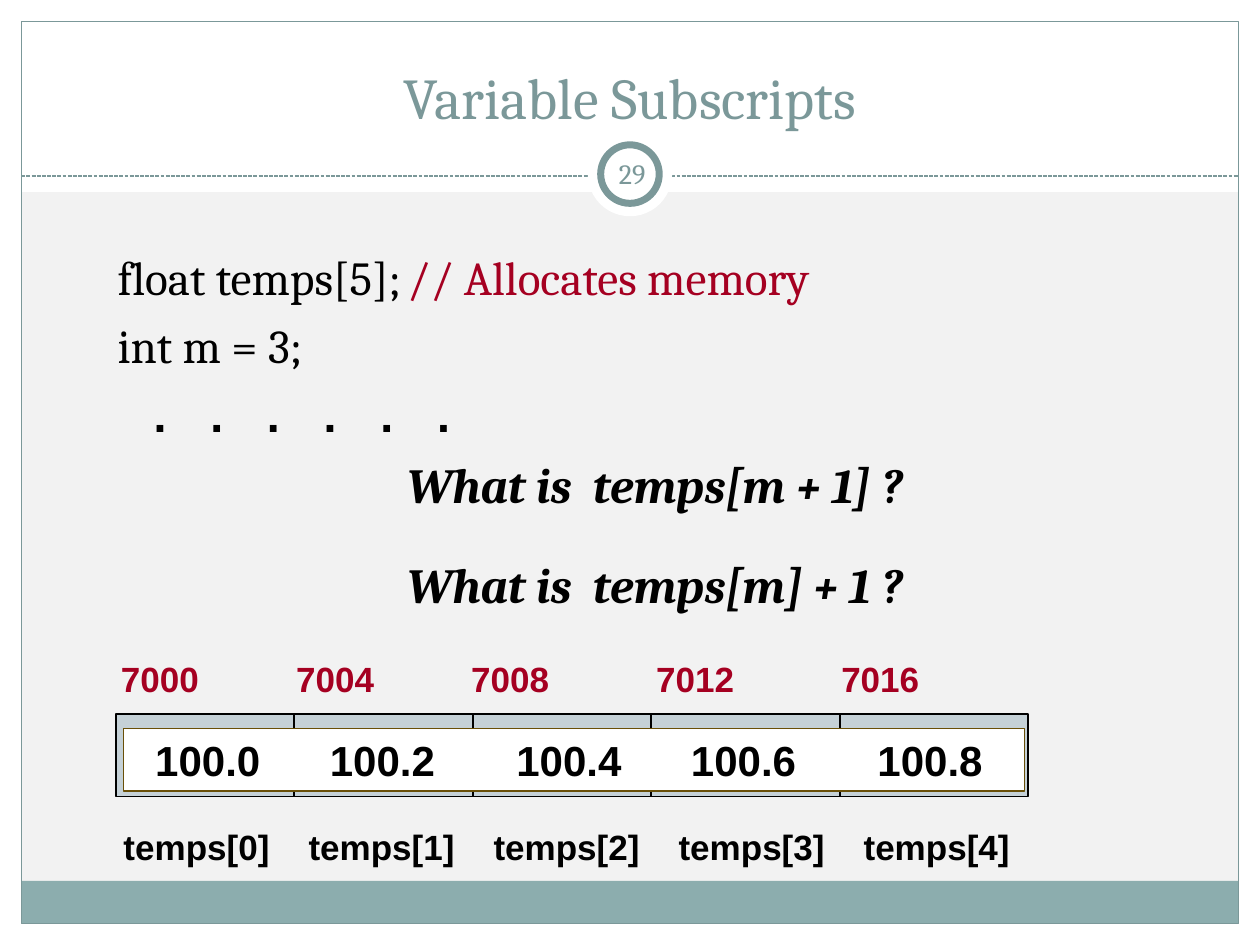
"""Build a slide on variable subscripts in an array of floats."""
from lxml.etree import SubElement
from pptx import Presentation
from pptx.dml.color import RGBColor
from pptx.enum.dml import MSO_LINE
from pptx.enum.shapes import MSO_CONNECTOR, MSO_SHAPE
from pptx.enum.text import MSO_ANCHOR, PP_ALIGN
from pptx.oxml.ns import qn
from pptx.util import Cm, Pt

WHITE = RGBColor(0xFF, 0xFF, 0xFF)
BLACK = RGBColor(0, 0, 0)
PALE_GRAY = RGBColor(0xF2, 0xF2, 0xF2)
TEAL = RGBColor(0x7B, 0x98, 0x99)
LIGHT_TEAL = RGBColor(0x8C, 0xAD, 0xAE)
CELL_BLUE = RGBColor(0xC5, 0xD1, 0xD7)
BROWN = RGBColor(0x69, 0x4F, 0x07)
RED = RGBColor(0xA5, 0x00, 0x21)

WIDTH, HEIGHT, MARGIN = 25.4, 19.05, 0.43
ARRAY_LEFT, ARRAY_TOP, ARRAY_WIDTH, ARRAY_HEIGHT = 2.34, 14.4, 18.39, 1.66
DIVIDERS = (5.92, 9.53, 13.13, 16.94)
INDEXES = [f"temps[{index}]" for index in range(5)]
ADDRESSES = [str(7000 + 4 * index) for index in range(5)]
VALUES = [f"{100 + 0.2 * index:.1f}" for index in range(5)]
INDEX_STOPS = [3.73 * index for index in range(1, 5)]
ADDRESS_STOPS = (3.53, 7.06, 10.79, 14.52)
VALUE_STOPS = (3.52, 7.28, 10.8, 14.56)


def add_block(shapes, box, fill=None, line=None, weight=0.75, kind=MSO_SHAPE.RECTANGLE):
    """Add a flat preset shape; box is left, top, width, height in cm."""
    shape = shapes.add_shape(kind, *map(Cm, box))
    shape.shadow.inherit = False
    if fill is None:
        shape.fill.background()
    else:
        shape.fill.solid()
        shape.fill.fore_color.rgb = fill
    if line is None:
        shape.line.fill.background()
    else:
        shape.line.color.rgb = line
        shape.line.width = Pt(weight)
    return shape


def add_line(shapes, start, end, color, weight, dash=None):
    """Add a straight line between two points in cm."""
    connector = shapes.add_connector(MSO_CONNECTOR.STRAIGHT, *map(Cm, start + end))
    connector.line.color.rgb = color
    connector.line.width = Pt(weight)
    if dash is not None:
        connector.line.dash_style = dash
    SubElement(connector._element.spPr, qn("a:effectLst"))
    return connector


def add_text_box(slide, box, anchor=MSO_ANCHOR.TOP):
    """Add a wrapping text box and return its text frame."""
    text_frame = slide.shapes.add_textbox(*map(Cm, box)).text_frame
    text_frame.word_wrap = True
    text_frame.vertical_anchor = anchor
    return text_frame


def format_run(run, name, size, color=BLACK, bold=False, italic=False):
    """Set the font of a run."""
    font = run.font
    font.name, font.size, font.bold, font.italic = name, Pt(size), bold, italic
    font.color.rgb = color


def set_tab_stops(paragraph, stops):
    """Set left tab stops in cm."""
    tab_list = SubElement(paragraph._p.get_or_add_pPr(), qn("a:tabLst"))
    for stop in stops:
        SubElement(tab_list, qn("a:tab"), pos=str(Cm(stop)), algn="l")


def add_centered_text(slide, box, text, size, anchor):
    """Add one centred line in the heading colour."""
    paragraph = add_text_box(slide, box, anchor).paragraphs[0]
    paragraph.text = text
    paragraph.alignment = PP_ALIGN.CENTER
    format_run(paragraph.runs[0], "Cambria", size, TEAL)


def fill_row(text_frame, entries, stops, inset, size, color=BLACK):
    """Write one row of entries spread over tab stops."""
    text_frame.word_wrap = True
    text_frame.margin_left = Cm(inset)
    text_frame.margin_right = 0
    paragraph = text_frame.paragraphs[0]
    paragraph.text = "\t".join(entries)
    paragraph.alignment = PP_ALIGN.LEFT
    set_tab_stops(paragraph, stops)
    for run in paragraph.runs:
        format_run(run, "Arial", size, color, bold=True)


def add_frame(slide):
    """Add the border, header, footer band and page number."""
    shapes = slide.shapes
    inner_width, right, bottom = WIDTH - 2 * MARGIN, WIDTH - MARGIN, HEIGHT - MARGIN
    for box in (
        (0, bottom, WIDTH, MARGIN),
        (0, 0, WIDTH, 3.87),
        (0, 0, MARGIN, HEIGHT),
        (right, 0, MARGIN, HEIGHT),
    ):
        add_block(shapes, box, WHITE)
    add_block(shapes, (MARGIN, 17.76, inner_width, 0.86), LIGHT_TEAL)
    add_block(shapes, (MARGIN, MARGIN, inner_width, HEIGHT - 2 * MARGIN), line=TEAL)
    add_line(shapes, (MARGIN, 3.55), (right, 3.55), TEAL, 0.75, MSO_LINE.SQUARE_DOT)
    add_block(shapes, (11.85, 2.66, 1.7, 1.7), WHITE, kind=MSO_SHAPE.OVAL)
    add_block(shapes, (12.11, 2.92, 1.18, 1.18), WHITE, TEAL, 4, MSO_SHAPE.OVAL)
    add_centered_text(slide, (12.11, 2.88, 1.27, 1.22), "29", 16, MSO_ANCHOR.MIDDLE)


def add_code(slide):
    """Add the code lines and the two questions."""
    text_frame = add_text_box(slide, (2.12, 4.87, 22.43, 8.05))
    code = {"name": "Cambria", "size": 27}
    question = {"name": "Cambria", "size": 28, "bold": True, "italic": True}
    lines = (
        (6.8, 0, [("float temps[5];\t", code), ("// Allocates memory", code | {"color": RED})]),
        (6.8, 0, [("int m = 3;", code)]),
        (6.8, 0, [(" . . . . . .", {"name": "Courier New", "size": 27, "bold": True})]),
        (7, 5.84, [("What is  temps[m + 1] ?", question)]),
        (24, 5.84, [("What is  temps[m] + 1 ?", question)]),
    )
    for index, (space, indent, pieces) in enumerate(lines):
        paragraph = text_frame.add_paragraph() if index else text_frame.paragraphs[0]
        paragraph.space_before = Pt(space)
        paragraph._p.get_or_add_pPr().set("marL", str(Cm(indent)))
        set_tab_stops(paragraph, [5.84])
        for text, style in pieces:
            run = paragraph.add_run()
            run.text = text
            format_run(run, **style)


def add_array(slide):
    """Add the memory cells with indexes, addresses and values."""
    group = slide.shapes.add_group_shape()
    cells = (ARRAY_LEFT, ARRAY_TOP, ARRAY_WIDTH, ARRAY_HEIGHT)
    add_block(group.shapes, cells, CELL_BLUE, BLACK, 1)
    for x in DIVIDERS:
        add_line(group.shapes, (x, ARRAY_TOP), (x, ARRAY_TOP + ARRAY_HEIGHT), BLACK, 1)
    index_row = add_text_box(slide, (2.24, 16.51, ARRAY_WIDTH, 1.09))
    fill_row(index_row, INDEXES, INDEX_STOPS, 0.25, 20)
    address_row = add_text_box(slide, (2.01, 13.13, ARRAY_WIDTH, 1.09))
    fill_row(address_row, ADDRESSES, ADDRESS_STOPS, 0.43, 20, RED)
    value_row = add_block(slide.shapes, (2.49, 14.68, 18.16, 1.27), WHITE, BROWN)
    fill_row(value_row.text_frame, VALUES, VALUE_STOPS, 0.64, 24)


def main():
    """Build and save the presentation."""
    presentation = Presentation()
    presentation.slide_width, presentation.slide_height = Cm(WIDTH), Cm(HEIGHT)
    slide = presentation.slides.add_slide(presentation.slide_layouts[6])
    slide.background.fill.solid()
    slide.background.fill.fore_color.rgb = PALE_GRAY
    add_frame(slide)
    add_centered_text(slide, (0.85, 0.64, 23.7, 2.12), "Variable Subscripts", 33, MSO_ANCHOR.BOTTOM)
    add_code(slide)
    add_array(slide)
    presentation.save("out.pptx")


if __name__ == "__main__":
    main()
